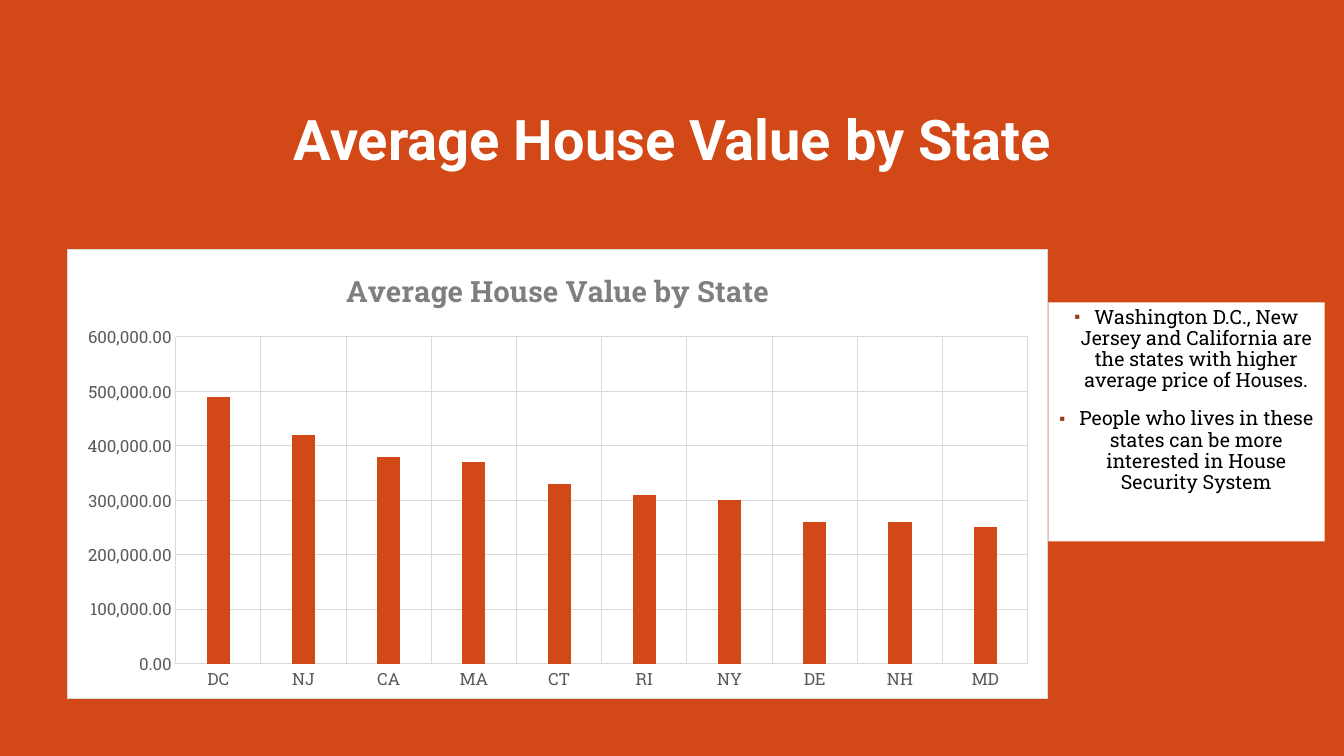
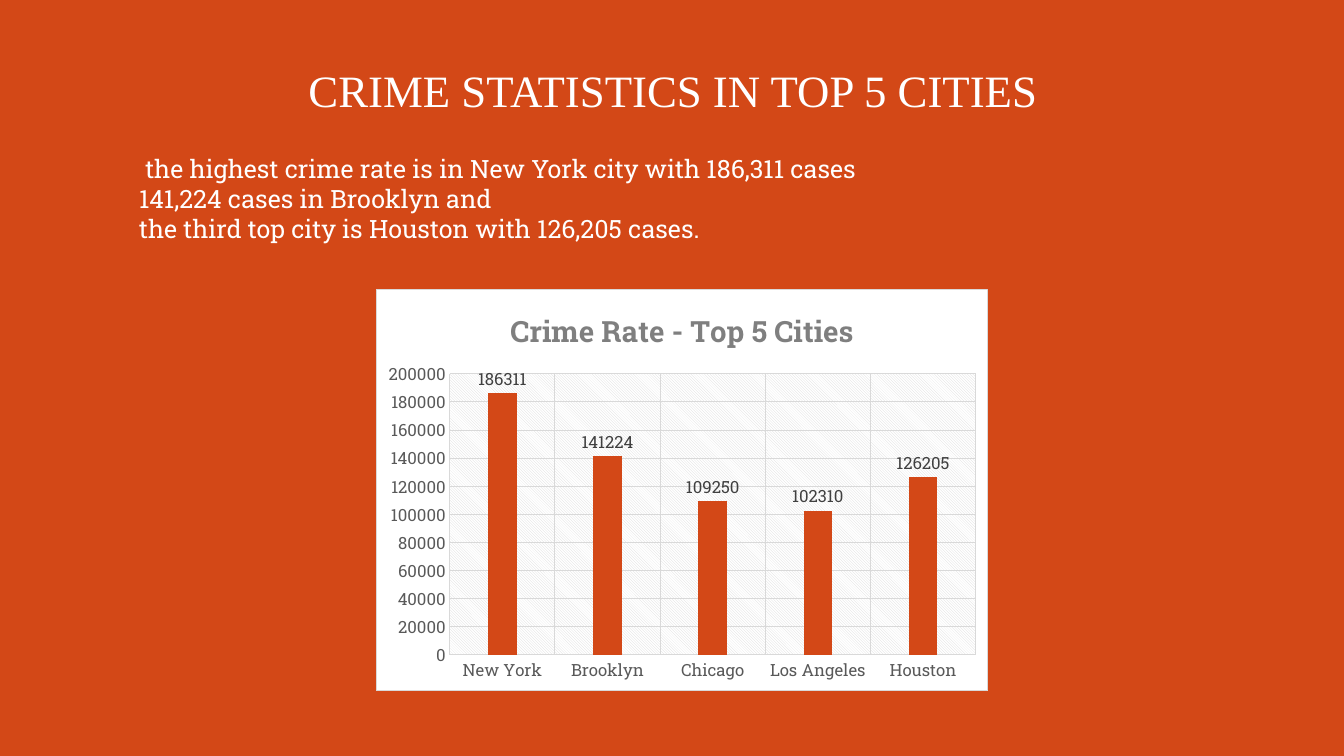
from dataclasses import dataclass

from pptx import Presentation
from pptx.chart.data import CategoryChartData
from pptx.dml.color import RGBColor
from pptx.enum.chart import XL_CHART_TYPE, XL_LABEL_POSITION, XL_TICK_MARK
from pptx.enum.text import MSO_ANCHOR, MSO_AUTO_SIZE, PP_ALIGN
from pptx.oxml import parse_xml
from pptx.oxml.ns import nsdecls, qn
from pptx.util import Cm, Pt


@dataclass(frozen=True)
class Theme:
    orange: str = "D34817"
    bullet: str = "9E3611"
    white: str = "FFFFFF"
    black: str = "000000"
    grid: str = "D9D9D9"
    axis: str = "595959"
    label: str = "404040"
    heading: str = "7F7F7F"
    title_font: str = "Roboto"
    serif_font: str = "Times New Roman"
    body_font: str = "Roboto Slab"
    title_size: int = 40
    subtitle_size: int = 32
    text_size: int = 18
    list_size: int = 14
    chart_title_size: int = 21
    axis_size: int = 12
    hairline: float = 0.75


T = Theme()


def style_font(font, name, size, color, bold=False):
    font.name, font.size, font.bold = name, Pt(size), bold
    font.color.rgb = RGBColor.from_string(color)


def fill_text(sp, box, lines, font, align, anchor=MSO_ANCHOR.TOP, spacing=1.0, before=0):
    """Place a placeholder and write one styled paragraph per line."""
    sp.left, sp.top, sp.width, sp.height = (Cm(v) for v in box)
    tf = sp.text_frame
    tf.word_wrap, tf.auto_size, tf.vertical_anchor = True, MSO_AUTO_SIZE.NONE, anchor
    for i, line in enumerate(lines):
        p = tf.add_paragraph() if i else tf.paragraphs[0]
        p.alignment, p.line_spacing, p.space_before = align, spacing, Pt(before)
        r = p.add_run()
        r.text = line
        style_font(r.font, *font)


# Slide content
slides = [
    dict(
        title="Average House Value by State",
        title_box=(2.97, 1.35, 27.94, 4.47),
        title_font=(T.title_font, T.title_size, T.white, True),
        title_align=PP_ALIGN.CENTER,
        title_spacing=0.9,
        lines=["Washington D.C., New Jersey and California are the states with "
               "higher average price of Houses.",
               "People who lives in these states can be more interested in "
               "House Security System"],
        body_box=(26.42, 7.62, 6.96, 6.02),
        body_font=(T.body_font, T.list_size, T.black),
        body_align=PP_ALIGN.CENTER,
        body_spacing=(0.9, 12),
        bulleted=True,
        chart_title="Average House Value by State",
        chart_box=(1.7, 6.27, 24.71, 11.35),
        plot=(0.11, 0.195, 0.87, 0.727),
        values={"DC": 490000, "NJ": 420000, "CA": 380000, "MA": 370000, "CT": 330000,
                "RI": 310000, "NY": 300000, "DE": 260000, "NH": 260000, "MD": 250000},
        top=600000, step=100000, number_format="#,##0.00", labelled=False,
    ),
    dict(
        title="CRIME STATISTICS IN TOP 5 CITIES",
        title_box=(7.52, 1.45, 22.38, 1.63),
        title_font=(T.serif_font, T.subtitle_size, T.white),
        title_align=PP_ALIGN.LEFT,
        title_spacing=1.0,
        lines=[" the highest crime rate is in New York city with 186,311 cases",
               "141,224 cases in Brooklyn and",
               "the third top city is Houston with 126,205 cases."],
        body_box=(3.25, 3.73, 27.25, 2.57),
        body_font=(T.body_font, T.text_size, T.white),
        body_align=PP_ALIGN.JUSTIFY,
        body_spacing=(1.0, 0),
        bulleted=False,
        chart_title="Crime Rate - Top 5 Cities",
        chart_box=(9.47, 7.29, 15.44, 10.13),
        plot=(0.12, 0.21, 0.86, 0.70),
        values={"New York": 186311, "Brooklyn": 141224, "Chicago": 109250,
                "Los Angeles": 102310, "Houston": 126205},
        top=200000, step=20000, number_format="General", labelled=True,
    ),
]

# Shared slide size and background
prs = Presentation()
prs.slide_width, prs.slide_height = Cm(33.87), Cm(19.05)
bg = prs.slide_master.background.fill
bg.solid()
bg.fore_color.rgb = RGBColor.from_string(T.orange)

for d in slides:
    s = prs.slides.add_slide(prs.slide_layouts[1])
    title, body = s.shapes.title, s.placeholders[1]

    # Title and text
    fill_text(title, d["title_box"], [d["title"]], d["title_font"], d["title_align"],
              MSO_ANCHOR.MIDDLE, d["title_spacing"])
    fill_text(body, d["body_box"], d["lines"], d["body_font"], d["body_align"],
              MSO_ANCHOR.TOP, *d["body_spacing"])
    if d["bulleted"]:
        body.fill.solid()
        body.fill.fore_color.rgb = RGBColor.from_string(T.white)

    # Bullets and indents
    indent = Cm(0.5) if d["bulleted"] else 0
    marks = [f'<a:buClr {nsdecls("a")}><a:srgbClr val="{T.bullet}"/></a:buClr>',
             f'<a:buSzPct {nsdecls("a")} val="85000"/>',
             f'<a:buChar {nsdecls("a")} char="▪"/>']
    if not d["bulleted"]:
        marks = [f'<a:buNone {nsdecls("a")}/>']
    for p in body.text_frame.paragraphs:
        pPr = p._p.get_or_add_pPr()
        pPr.set("marL", str(indent))
        pPr.set("indent", str(-indent))
        for mark in marks:
            pPr.append(parse_xml(mark))

    # Column chart
    data = CategoryChartData(number_format=d["number_format"])
    data.categories = list(d["values"])
    data.add_series("Series 1", list(d["values"].values()))
    chart = s.shapes.add_chart(XL_CHART_TYPE.COLUMN_CLUSTERED,
                               *(Cm(v) for v in d["chart_box"]), data).chart
    chart.has_legend = False
    style_font(chart.font, T.body_font, T.axis_size, T.axis)
    chart.has_title = True
    r = chart.chart_title.text_frame.paragraphs[0].add_run()
    r.text = d["chart_title"]
    style_font(r.font, T.body_font, T.chart_title_size, T.heading, True)

    plot = chart.plots[0]
    plot.gap_width, plot.overlap, plot.vary_by_categories = 267, -43, False
    columns = plot.series[0].format.fill
    columns.solid()
    columns.fore_color.rgb = RGBColor.from_string(T.orange)
    if d["labelled"]:
        plot.has_data_labels = True
        labels = plot.data_labels
        labels.show_value, labels.position = True, XL_LABEL_POSITION.OUTSIDE_END
        style_font(labels.font, T.body_font, T.axis_size, T.label)

    # Axes and grid
    for axis in (chart.category_axis, chart.value_axis):
        axis.major_tick_mark = axis.minor_tick_mark = XL_TICK_MARK.NONE
        axis.has_major_gridlines = True
        for line in (axis.format.line, axis.major_gridlines.format.line):
            line.width = Pt(T.hairline)
            line.color.rgb = RGBColor.from_string(T.grid)
        style_font(axis.tick_labels.font, T.body_font, T.axis_size, T.axis)
    axis = chart.value_axis
    axis.format.line.fill.background()
    axis.minimum_scale, axis.maximum_scale, axis.major_unit = 0, d["top"], d["step"]
    axis.tick_labels.number_format = d["number_format"]
    axis.tick_labels.number_format_is_linked = False

    # Chart frame
    c_chart = chart._chartSpace.find(qn("c:chart"))
    c_chart.addnext(parse_xml(
        f'<c:spPr {nsdecls("c", "a")}>'
        f'<a:solidFill><a:srgbClr val="{T.white}"/></a:solidFill>'
        f'<a:ln w="{Pt(T.hairline)}"><a:solidFill><a:srgbClr val="{T.grid}"/></a:solidFill></a:ln>'
        '</c:spPr>'))

    # Plot position and hatching
    area = c_chart.find(qn("c:plotArea"))
    for old in area.findall(qn("c:layout")):
        area.remove(old)
    place = "".join(f'<c:{k} val="{v}"/>' for k, v in zip("xywh", d["plot"]))
    area.insert(0, parse_xml(
        f'<c:layout {nsdecls("c")}><c:manualLayout><c:layoutTarget val="inner"/>'
        f'<c:xMode val="edge"/><c:yMode val="edge"/>{place}</c:manualLayout></c:layout>'))
    if d["labelled"]:
        area.append(parse_xml(
            f'<c:spPr {nsdecls("c", "a")}><a:pattFill prst="ltDnDiag">'
            f'<a:fgClr><a:srgbClr val="{T.grid}"/></a:fgClr>'
            f'<a:bgClr><a:srgbClr val="{T.white}"/></a:bgClr></a:pattFill></c:spPr>'))

prs.save("out.pptx")
